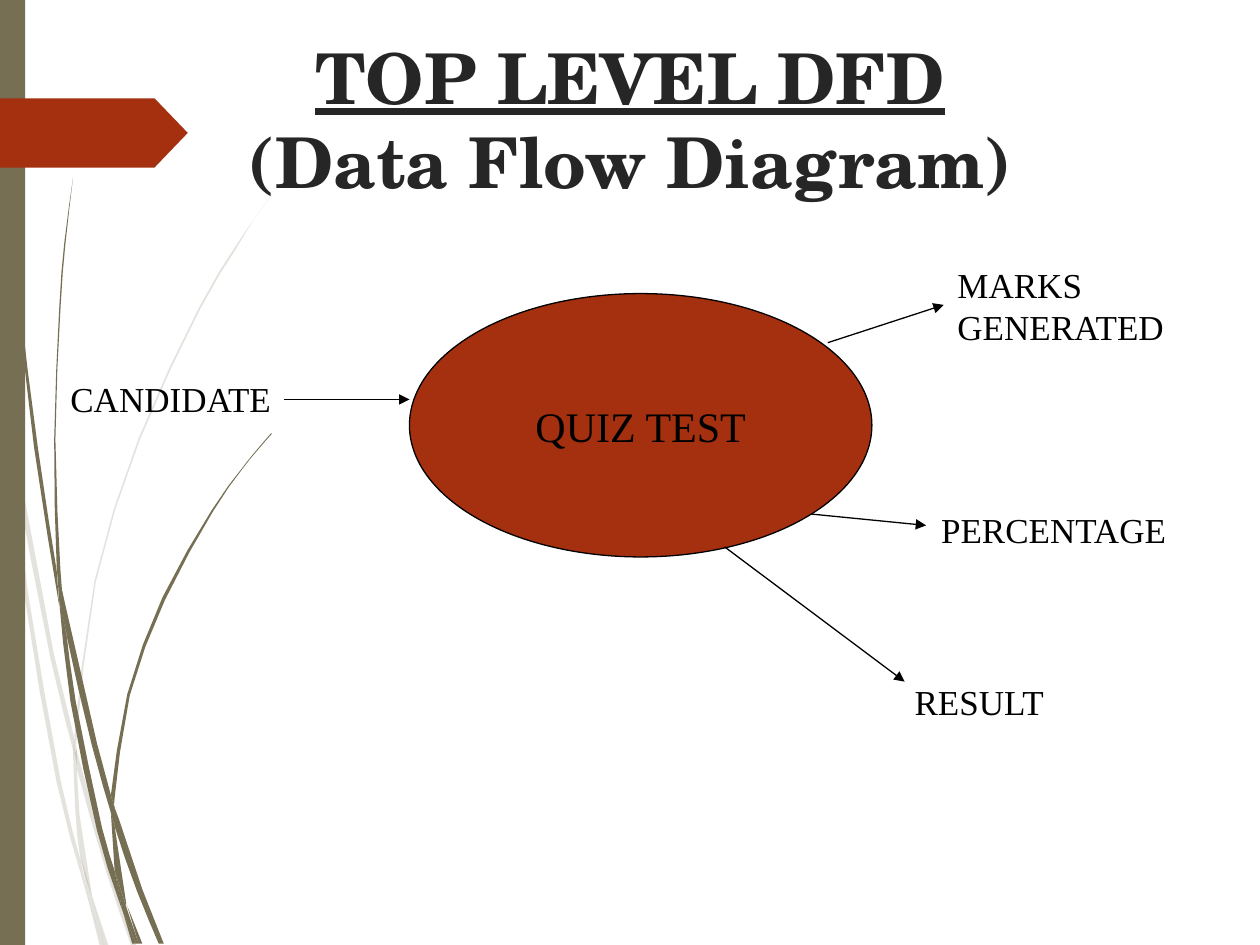
import pptx
import pptx.util
import pptx.dml.color
import pptx.enum.shapes
import pptx.enum.text
from pptx.oxml.ns import qn
from lxml import etree

OLIVE, RUST, BLACK = "766F54", "A53010", "000000"
SERIF = "Times New Roman"

PALE = [
    ([(.08, 3.5), (.06, 3.22), (0, 2.82)], [(0, 2.99), (.07, 3.44)]),
    ([(.1, 3.45), (.12, 3.76), (.4, 5.22), (.59, 5.99)],
     [(.59, 5.86), (.43, 5.2), (.1, 3.45)]),
    ([(.61, 5.96), (.61, 6.1), (.85, 6.94), (1.04, 7.5)],
     [(1.08, 7.5), (.88, 6.92), (.64, 6.07)]),
    ([(.83, 7.5), (.86, 7.5)], [(.73, 7.11)]),
    ([(.7, 7.14), (.64, 6.83), (.48, 6.19), (.22, 4.69), (.12, 3.76), (.08, 3.5)],
     [(.08, 3.5), (.19, 4.7), (.45, 6.21), (.64, 6.93), (.7, 7.14)]),
    ([(.58, 5.99), (.6, 6.46), (.64, 6.83), (.73, 7.11)],
     [(.73, 7.11), (.63, 6.46), (.61, 6.1)]),
    ([(.61, 5.96), (.61, 5.84), (.76, 4.62), (1.11, 3.49), (1.59, 2.45),
      (1.87, 1.98), (2.01, 1.75), (2.17, 1.53)],
     [(2.17, 1.53), (2.01, 1.75), (1.86, 1.97), (1.58, 2.44), (1.1, 3.48),
      (.75, 4.61), (.59, 5.84)]),
    ([(.7, 7.14), (.79, 7.5)], [(.82, 7.5)]),
    ([(.61, 6.1), (.61, 5.96), (.59, 5.86)], [(.58, 5.99), (.61, 6.08)]),
    ([(.65, 6.83), (.7, 7.14), (.82, 7.5)], [(.83, 7.5), (.73, 7.11), (.65, 6.83)]),
]
DARK = [
    ([(.02, 0), (.03, .48), (.05, 1.1), (.14, 2.33), (.27, 3.55), (.47, 4.81)],
     [(.45, 4.53), (.3, 3.55), (.15, 2.32), (.06, 1.09), (.04, .48), (.03, 0)]),
    ([(.5, 4.72), (.53, 5.05), (.73, 5.92), (.88, 6.45)],
     [(.88, 6.31), (.77, 5.9), (.5, 4.72)]),
    ([(.91, 6.41), (.91, 6.56), (1.09, 7.08), (1.26, 7.49)],
     [(1.3, 7.49), (1.13, 7.06), (.94, 6.49)]),
    ([(.97, 7.22), (.91, 6.91), (.81, 6.57), (.6, 5.56), (.53, 5.05), (.47, 4.77)],
     [(.47, 4.77), (.56, 5.57), (.77, 6.59), (.92, 7.08), (.97, 7.22)]),
    ([(.5, 4.72), (.48, 4.53), (.44, 3.49), (.48, 2.45), (.52, 1.93), (.58, 1.41)],
     [(.58, 1.41), (.51, 1.93), (.47, 2.45), (.43, 3.49), (.45, 4.49), (.49, 4.71)]),
    ([(1.1, 7.49), (1.13, 7.49)], [(1.01, 7.19)]),
    ([(.45, 4.49), (.47, 4.77), (.53, 5.05)], [(.5, 4.72)]),
    ([(.91, 6.41), (.91, 6.33), (1.03, 5.52), (1.31, 4.76), (1.69, 4.06),
      (1.91, 3.74), (2.03, 3.59), (2.16, 3.44)],
     [(2.15, 3.44), (2.03, 3.58), (1.91, 3.73), (1.68, 4.05), (1.29, 4.74),
      (1.01, 5.51), (.88, 6.31)]),
    ([(.97, 7.22), (1.05, 7.49)], [(1.08, 7.49)]),
    ([(.88, 6.45), (.91, 6.91), (1, 7.19)], [(1, 7.16), (.91, 6.56)]),
    ([(.88, 6.31), (.88, 6.45), (.91, 6.56)], [(.91, 6.41)]),
    ([(.91, 6.91), (.97, 7.22), (1.08, 7.49)], [(1.1, 7.49), (1, 7.19), (.91, 6.91)]),
]
LABELS = [
    ("CANDIDATE", (.46, 2.95, 1.92, .44)),
    ("MARKS GENERATED", (7.5, 2.04, 2.08, .77)),
    ("PERCENTAGE", (7.37, 3.99, 2.08, .44)),
    ("RESULT", (7.16, 5.35, 1.92, .44)),
]
ARROWS = [
    (2.25, 3.17, 3.25, 3.17),
    (6.57, 2.72, 7.49, 2.42),
    (6.44, 4.08, 7.35, 4.17),
    (5.75, 4.34, 7.18, 5.41),
]


def place(box):
    return [pptx.util.Cm(v * 2.54) for v in box]


def tint(color, code):
    color.rgb = pptx.dml.color.RGBColor.from_string(code)


def paint(shape, code, edge=None, alpha=None):
    shape.shadow.inherit = False
    shape.fill.solid()
    tint(shape.fill.fore_color, code)
    if alpha:
        node = shape.element.spPr.find(qn("a:solidFill"))[0]
        etree.SubElement(node, qn("a:alpha")).set("val", str(alpha * 1000))
    if edge:
        tint(shape.line.color, edge)
        shape.line.width = pptx.util.Pt(.75)
    else:
        shape.line.fill.background()


def write(para, text, font=SERIF, pts=20, code=BLACK, bold=False, under=False, align="LEFT"):
    para.alignment = getattr(pptx.enum.text.PP_ALIGN, align)
    run = para.add_run()
    run.text = text
    run.font.name = font
    run.font.size = pptx.util.Pt(pts)
    run.font.bold = bold
    run.font.underline = under
    tint(run.font.color, code)


def curve(edge):
    if len(edge) < 4:
        return edge
    ends = [edge[0], *edge, edge[-1]]
    out = [edge[0]]
    for a, b, c, d in zip(ends, ends[1:], ends[2:], ends[3:]):
        mid = tuple((9 * (q + r) - p - s) / 16 for p, q, r, s in zip(a, b, c, d))
        out += [mid, c]
    return out


def draw(slide, strands, alpha=None):
    group = slide.shapes.add_group_shape()
    for near, far in strands:
        dots = [place(dot) for dot in curve(near) + curve(far)]
        pen = group.shapes.build_freeform(*dots[0])
        pen.add_line_segments(dots[1:], close=True)
        paint(pen.convert_to_shape(), OLIVE, alpha=alpha)


def arrow(slide, ends):
    kind = pptx.enum.shapes.MSO_CONNECTOR.STRAIGHT
    link = slide.shapes.add_connector(kind, *place(ends))
    tint(link.line.color, BLACK)
    link.line.width = pptx.util.Pt(.75)
    props = link.element.spPr
    etree.SubElement(props.find(qn("a:ln")), qn("a:tailEnd")).set("type", "triangle")
    etree.SubElement(props, qn("a:effectLst"))


def main():
    deck = pptx.Presentation()
    deck.slide_width, deck.slide_height = place((10, 7.5))
    slide = deck.slides.add_slide(deck.slide_layouts[5])
    kinds = pptx.enum.shapes.MSO_SHAPE
    anchor = pptx.enum.text.MSO_ANCHOR
    fit = pptx.enum.text.MSO_AUTO_SIZE

    draw(slide, PALE, alpha=20)
    draw(slide, DARK)
    bar = slide.shapes.add_shape(kinds.RECTANGLE, *place((0, 0, .2, 7.5)))
    paint(bar, OLIVE)
    flag = slide.shapes.add_shape(kinds.PENTAGON, *place((0, .78, 1.49, .55)))
    flag.adjustments[0] = .48
    paint(flag, RUST)

    title = slide.shapes.title
    title.element.getparent().append(title.element)
    title.left, title.top, title.width, title.height = place((0, .22, 10, 1.69))
    title.text_frame.vertical_anchor = anchor.TOP
    title.text_frame.auto_size = fit.NONE
    para = title.text_frame.paragraphs[0]
    look = dict(font="TeX Gyre Schola", pts=40, code="262626", bold=True, align="CENTER")
    write(para, "TOP LEVEL DFD", under=True, **look)
    para.add_line_break()
    write(para, "(Data Flow Diagram)", **look)

    oval = slide.shapes.add_shape(kinds.OVAL, *place((3.25, 2.33, 3.67, 2.09)))
    paint(oval, RUST, edge=BLACK)
    oval.text_frame.word_wrap = False
    oval.text_frame.vertical_anchor = anchor.MIDDLE
    write(oval.text_frame.paragraphs[0], "QUIZ TEST", pts=24, align="CENTER")

    for text, box in LABELS:
        frame = slide.shapes.add_textbox(*place(box)).text_frame
        frame.word_wrap = True
        frame.auto_size = fit.SHAPE_TO_FIT_TEXT
        write(frame.paragraphs[0], text)
    for ends in ARROWS:
        arrow(slide, ends)
    deck.save("out.pptx")


if __name__ == "__main__":
    main()
